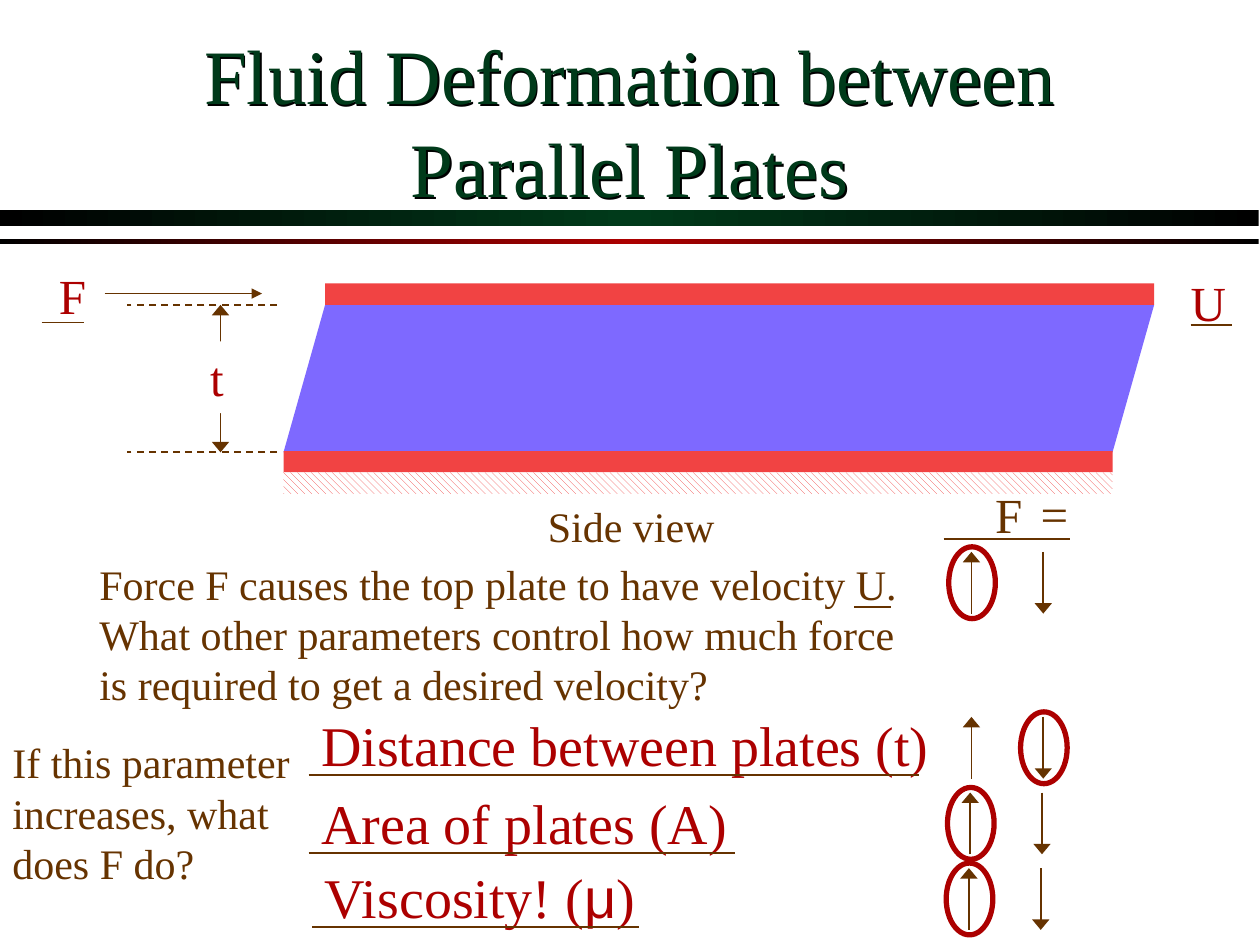
"""Build the slide on fluid deformation between parallel plates."""
from copy import deepcopy

from lxml.etree import SubElement
from pptx import Presentation
from pptx.dml.color import RGBColor
from pptx.enum.dml import MSO_LINE, MSO_PATTERN
from pptx.enum.shapes import MSO_CONNECTOR, MSO_SHAPE
from pptx.enum.text import MSO_ANCHOR, MSO_AUTO_SIZE, PP_ALIGN
from pptx.oxml import parse_xml
from pptx.oxml.ns import nsdecls, qn
from pptx.util import Pt

SCALE = 9144
GREEN, RED, BROWN = "003A1A", "AC0000", "663300"
PLATE, FLUID, WHITE, BLACK = "F14343", "7E69FF", "FFFFFF", "000000"
SERIF, SANS = "Times New Roman", "Arial"


def px(length):
    """Turn px into EMU."""
    return int(length * SCALE)


def rgb(value):
    """Turn a hex string into a colour."""
    return RGBColor.from_string(value)


def add_box(slide, kind, left, top, width, height, fill=None):
    """Add a preset shape with no line and no shadow."""
    shape = slide.shapes.add_shape(kind, px(left), px(top), px(width), px(height))
    shape.shadow.inherit = False
    shape.line.fill.background()
    if fill:
        shape.fill.solid()
        shape.fill.fore_color.rgb = rgb(fill)
    else:
        shape.fill.background()
    return shape


def add_line(slide, start, end, ends=(), width="med", dashed=False):
    """Add a thin brown line with optional arrowheads."""
    line = slide.shapes.add_connector(MSO_CONNECTOR.STRAIGHT, *map(px, start + end))
    line.line.color.rgb = rgb(BROWN)
    line.line.width = Pt(1)
    if dashed:
        line.line.dash_style = MSO_LINE.DASH
    for name in ends:
        SubElement(line.line._get_or_add_ln(), qn(f"a:{name}"), type="triangle", w=width, len="med")
    SubElement(line._element.spPr, qn("a:effectLst"))
    return line


def format_run(run, size, color, font=SERIF):
    """Set size, colour and font of a run."""
    run.font.size = Pt(size)
    run.font.color.rgb = rgb(color)
    run.font.name = font


def add_label(slide, left, top, width, height, text, size, color, wrap=True, anchor=MSO_ANCHOR.TOP):
    """Add a text box and return its text frame."""
    shape = slide.shapes.add_textbox(px(left), px(top), px(width), px(height))
    frame = shape.text_frame
    frame.word_wrap = wrap
    frame.auto_size = MSO_AUTO_SIZE.SHAPE_TO_FIT_TEXT
    frame.vertical_anchor = anchor
    frame.text = text
    for paragraph in frame.paragraphs:
        for run in paragraph.runs:
            format_run(run, size, color)
    return frame


def add_band(slide, top, height, color):
    """Add a full-width band that fades to black at both ends."""
    band = add_box(slide, MSO_SHAPE.RECTANGLE, 0, top, 999, height)
    band.fill.gradient()
    band.fill.gradient_angle = 0
    stop_list = band._element.spPr.find(".//" + qn("a:gsLst"))
    stop_list.append(deepcopy(stop_list[0]))
    for stop, position, value in zip(band.fill.gradient_stops, (0, 0.5, 1), (BLACK, color, BLACK)):
        stop.position = position
        stop.color.rgb = rgb(value)


def add_header(slide, left, top, width, height):
    """Place the shadowed title and the two bands below it."""
    add_band(slide, top + 134, 12, GREEN)
    add_band(slide, top + 157, 4, RED)
    title = slide.shapes.title
    title.left, title.top, title.width, title.height = map(px, (left, top, width, height))
    frame = title.text_frame
    frame.text = "Fluid Deformation between Parallel Plates"
    frame.word_wrap = True
    frame.auto_size = MSO_AUTO_SIZE.NONE
    frame.vertical_anchor = MSO_ANCHOR.MIDDLE
    frame.paragraphs[0].alignment = PP_ALIGN.CENTER
    format_run(frame.paragraphs[0].runs[0], 44, GREEN)
    title.fill.background()
    title._element.spPr.append(parse_xml(
        f'<a:effectLst {nsdecls("a")}><a:outerShdw dist="18000" dir="2700000">'
        f'<a:srgbClr val="{BLACK}"/></a:outerShdw></a:effectLst>'))


def add_plates(slide, left, top, width, height):
    """Draw the sheared fluid between its moving and fixed plates."""
    shift, thick = 33, 17
    bottom = top + height
    builder = slide.shapes.build_freeform(left, bottom, scale=SCALE)
    builder.add_line_segments(
        [(left + shift, top), (left + shift + width, top), (left + width, bottom)])
    fluid = builder.convert_to_shape()
    fluid.shadow.inherit = False
    fluid.fill.solid()
    fluid.fill.fore_color.rgb = rgb(FLUID)
    fluid.line.fill.background()
    add_box(slide, MSO_SHAPE.RECTANGLE, left + shift, top - thick, width, thick, PLATE)
    add_box(slide, MSO_SHAPE.RECTANGLE, left, bottom - 1, width, thick, PLATE)
    ground = add_box(slide, MSO_SHAPE.RECTANGLE, left, bottom + thick - 1, width, thick)
    ground.fill.patterned()
    ground.fill.pattern = MSO_PATTERN.WIDE_DOWNWARD_DIAGONAL
    ground.fill.fore_color.rgb = rgb(PLATE)
    ground.fill.back_color.rgb = rgb(WHITE)
    add_label(slide, left + 200, bottom + 33, 160, 50, "Side view", 24, BROWN)


def add_dimensions(slide, left, top, height):
    """Mark force F, gap t and velocity U around the plates."""
    bottom = top + height
    add_line(slide, (left, top + 14), (left + 34, top + 14))
    add_line(slide, (left + 50, top - 9), (left + 175, top - 9), ["tailEnd"])
    add_label(slide, left + 4, top - 36, 40, 57, "F", 28, RED)
    for level in (top, bottom):
        add_line(slide, (left + 187, level), (left + 68, level), dashed=True)
    add_line(slide, (left + 142, top), (left + 142, bottom), ["headEnd", "tailEnd"], "lg")
    add_box(slide, MSO_SHAPE.RECTANGLE, left + 124, top + 29, 40, 57, WHITE)
    add_label(slide, left + 124, top + 29, 40, 57, "t", 28, RED)
    add_line(slide, (left + 912, top + 16), (left + 945, top + 16))
    add_label(slide, left + 902, top - 31, 65, 57, "U", 28, RED)


def add_question(slide, left, top):
    """Write the questions on force and parameters."""
    add_label(slide, left + 69, top, 658, 130,
              "Force F causes the top plate to have velocity U.\n"
              "What other parameters control how much force is required to get a desired velocity?",
              24, BROWN)
    add_line(slide, (left + 678, top + 44), (left + 707, top + 44))
    add_label(slide, left, top + 142, 240, 130,
              "If this parameter increases, what does F do?", 24, BROWN)


def add_answers(slide, left, top):
    """List the three parameters, each underlined."""
    answers = [
        (0, 0, 510, 484, "Distance between plates (t)"),
        (0, 62, 350, 338, "Area of plates (A)"),
        (3, 121, 276, 259, "Viscosity! ("),
    ]
    for shift, drop, width, rule, text in answers:
        x, y = left + shift, top + drop
        frame = add_label(slide, x, y, width, 63, text, 32, RED, anchor=MSO_ANCHOR.MIDDLE)
        add_line(slide, (x, y + 56), (x + rule, y + 56))
    for text, font in (("μ", SANS), (")", SERIF)):
        run = frame.paragraphs[0].add_run()
        run.text = text
        format_run(run, 32, RED, font)


def add_arrow_pair(slide, left, top, circled):
    """Draw an up and a down arrow and circle the chosen one."""
    length, gap = 49, 57
    add_line(slide, (left, top + length), (left, top), ["tailEnd"], "lg")
    add_line(slide, (left + gap, top), (left + gap, top + length), ["tailEnd"], "lg")
    center = left + gap * circled
    ring = add_box(slide, MSO_SHAPE.OVAL, center - 18, top - 4, 37, 57)
    ring.line.color.rgb = rgb(RED)
    ring.line.width = Pt(3)


def add_responses(slide, left, top):
    """Place the F = heading and the arrow pairs below it."""
    add_label(slide, left + 31, top, 42, 57, "F", 28, BROWN, wrap=False)
    add_label(slide, left + 67, top - 1, 42, 57, "=", 28, BROWN, wrap=False)
    add_line(slide, (left, top + 48), (left + 100, top + 48))
    for shift, drop, circled in ((22, 58, 0), (22, 189, 1), (21, 249, 0), (20, 309, 0)):
        add_arrow_pair(slide, left + shift, top + drop, circled)


def main():
    """Assemble and save the slide."""
    presentation = Presentation()
    presentation.slide_width, presentation.slide_height = px(1000), px(750)
    slide = presentation.slides.add_slide(presentation.slide_layouts[5])
    add_header(slide, 75, 33, 850, 125)
    add_plates(slide, 225, 242, 658, 117)
    add_question(slide, 0, 438)
    add_dimensions(slide, 33, 242, 117)
    add_answers(slide, 245, 559)
    add_responses(slide, 749, 380)
    presentation.save("out.pptx")


if __name__ == "__main__":
    main()
